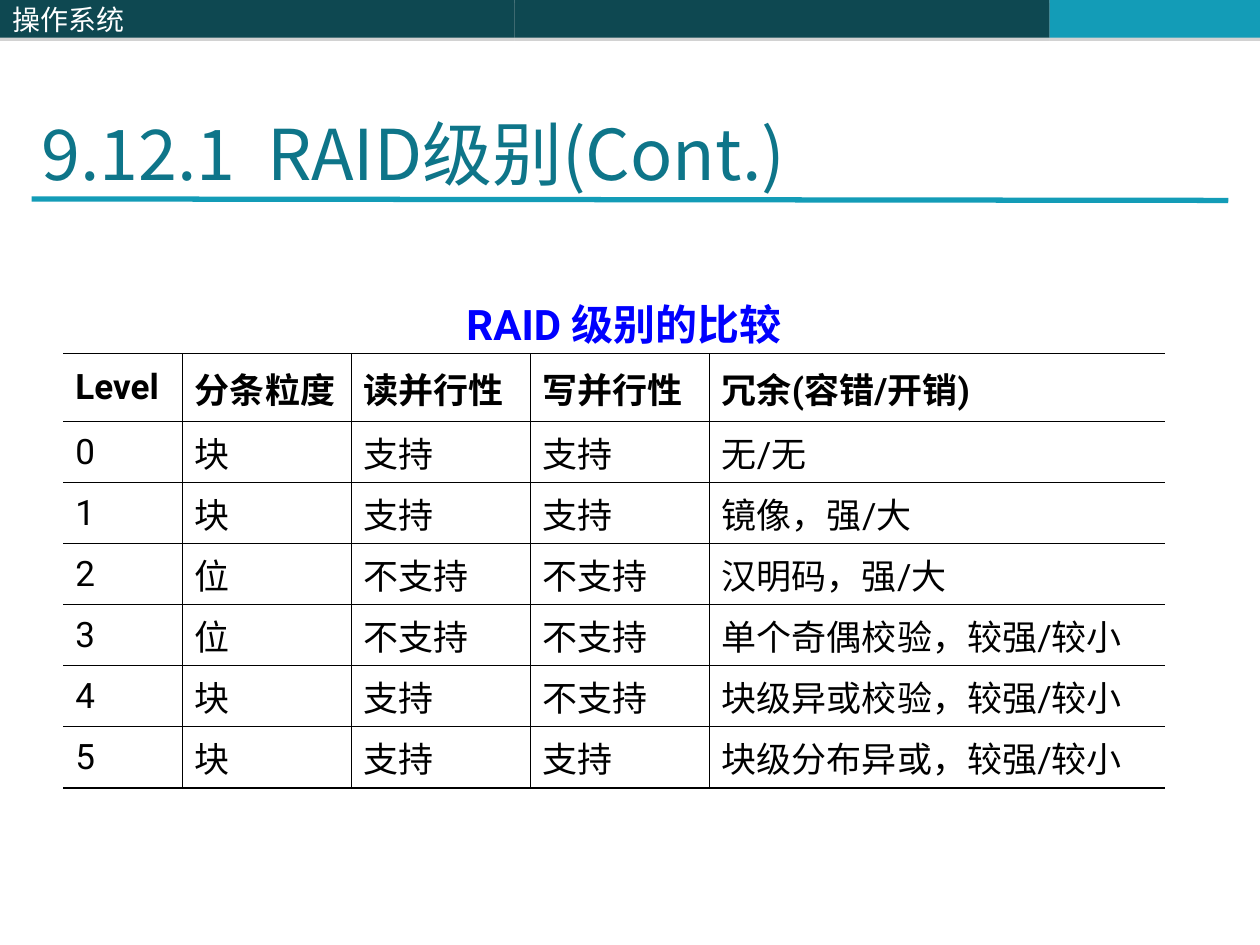
from lxml.etree import SubElement
from pptx import Presentation
from pptx.dml.color import RGBColor
from pptx.enum.shapes import MSO_CONNECTOR, MSO_SHAPE
from pptx.enum.text import MSO_ANCHOR as ANCHOR, PP_ALIGN as ALIGN
from pptx.oxml.ns import qn
from pptx.util import Cm, Pt

CJK, LATIN = "Noto Sans CJK SC", "Roboto"
DARK, TEAL, TITLE = "0E4851", "139CB7", "0E7589"
BLACK, BLUE, WHITE = "000000", "0000FF", "FFFFFF"
THIN, THICK = 0.45, 1.08

CAPTION = "RAID 级别的比较"
HEADERS = ["Level", "分条粒度", "读并行性", "写并行性", "冗余(容错/开销)"]
LEVELS = [
    ["0", "块", "支持", "支持", "无/无"],
    ["1", "块", "支持", "支持", "镜像，强/大"],
    ["2", "位", "不支持", "不支持", "汉明码，强/大"],
    ["3", "位", "不支持", "不支持", "单个奇偶校验，较强/较小"],
    ["4", "块", "支持", "不支持", "块级异或校验，较强/较小"],
    ["5", "块", "支持", "支持", "块级分布异或，较强/较小"],
]
COL_WIDTHS = [2.41, 3.4, 3.61, 3.61, 9.19]
ROW_HEIGHTS = [1.24, 1.37] + [1.23] * len(LEVELS)


def rgb(value):
    """Return the colour for a hex string."""
    return RGBColor.from_string(value)


def write(tf, text, size, color, font=CJK, bold=False, align=ALIGN.LEFT):
    """Write one formatted paragraph into a text frame."""
    p = tf.paragraphs[0]
    p.text = text
    p.alignment = align
    p.font.size, p.font.bold, p.font.name = Pt(size), bold, font
    p.font.color.rgb = rgb(color)
    SubElement(p._p.pPr.find(qn("a:defRPr")), qn("a:ea"), typeface=CJK)


def set_margins(box, x, y):
    """Set equal side margins and equal top and bottom margins."""
    box.margin_left = box.margin_right = Cm(x)
    box.margin_top = box.margin_bottom = Cm(y)


def add_shadow(sp):
    """Give a shape a hard grey shadow straight below it."""
    sp.shadow.inherit = False
    effects = sp._element.spPr.find(qn("a:effectLst"))
    shadow = SubElement(effects, qn("a:outerShdw"), blurRad="0",
                        dist=str(Pt(1.8)), dir="5400000", rotWithShape="0")
    color = SubElement(shadow, qn("a:srgbClr"), val="808080")
    SubElement(color, qn("a:alpha"), val="35000")


def add_header_bar(s, x, y, w, h):
    """Draw the top bar with the course name in its first part."""
    parts = [(0, 10.37, DARK), (10.37, 10.79, DARK), (21.16, w - 21.16, TEAL)]
    bars = []
    for left, width, color in parts:
        sp = s.shapes.add_shape(MSO_SHAPE.RECTANGLE, Cm(x + left), Cm(y), Cm(width), Cm(h))
        sp.fill.solid()
        sp.fill.fore_color.rgb = rgb(color)
        sp.line.fill.background()
        add_shadow(sp)
        bars.append(sp)
    tf = bars[0].text_frame
    tf.vertical_anchor = ANCHOR.MIDDLE
    set_margins(tf, 0.25, 0.13)
    write(tf, "操作系统", 16, WHITE)


def add_title(s, x, y, w, h):
    """Place the slide title above its rule."""
    rule = s.shapes.add_connector(MSO_CONNECTOR.STRAIGHT, Cm(x - 0.2), Cm(y + 2.13),
                                  Cm(x + w), Cm(y + 2.16))
    rule.line.color.rgb = rgb(TEAL)
    rule.line.width = Pt(3)
    SubElement(rule._element.spPr, qn("a:effectLst"))
    tf = s.shapes.add_textbox(Cm(x), Cm(y), Cm(20.32), Cm(h)).text_frame
    tf.word_wrap = True
    tf.vertical_anchor = ANCHOR.BOTTOM
    set_margins(tf, 0, 0)
    write(tf, "9.12.1  RAID级别(Cont.)", 40, TITLE)


def set_borders(cell, **widths):
    """Draw the named cell sides in black and clear the others."""
    tcPr = cell._tc.get_or_add_tcPr()
    for i, side in enumerate(("L", "R", "T", "B")):
        width = widths.get(side, 0)
        ln = tcPr.makeelement(qn(f"a:ln{side}"), {"w": str(Pt(width))})
        if width:
            SubElement(SubElement(ln, qn("a:solidFill")), qn("a:srgbClr"), val=BLACK)
        else:
            SubElement(ln, qn("a:noFill"))
        tcPr.insert(i, ln)


def add_levels_table(s, x, y, w, h):
    """Build the captioned table that compares the levels."""
    rows = [HEADERS] + LEVELS
    n_rows, n_cols = len(rows) + 1, len(HEADERS)
    table = s.shapes.add_table(n_rows, n_cols, Cm(x), Cm(y), Cm(w), Cm(h)).table
    table.first_row = table.horz_banding = False
    for col, width in zip(table.columns, COL_WIDTHS):
        col.width = Cm(width)
    for row, height in zip(table.rows, ROW_HEIGHTS):
        row.height = Cm(height)

    for c in range(n_cols):
        cell = table.cell(0, c)
        cell.fill.background()
        set_borders(cell, B=THIN)
    caption = table.cell(0, 0)
    caption.merge(table.cell(0, n_cols - 1))
    set_margins(caption, 0, 0)
    caption.margin_left = Cm(0.4)
    write(caption.text_frame, CAPTION, 24, BLUE, LATIN, True, ALIGN.CENTER)

    for r, texts in enumerate(rows, 1):
        top = {1: THIN, 2: THICK}.get(r, THIN)
        bottom = THICK if r in (1, n_rows - 1) else THIN
        for c, text in enumerate(texts):
            last = c == n_cols - 1
            cell = table.cell(r, c)
            cell.fill.background()
            cell.vertical_anchor = ANCHOR.TOP if last and r > 1 else ANCHOR.MIDDLE
            set_margins(cell, 0.25, 0.1)
            write(cell.text_frame, text, 20, BLACK, LATIN, r == 1)
            set_borders(cell, T=top, B=bottom, L=THIN if c else 0, R=0 if last else THIN)


def main():
    """Build the slide and save it."""
    prs = Presentation()
    prs.slide_width, prs.slide_height = Cm(25.4), Cm(19.05)
    s = prs.slides.add_slide(prs.slide_layouts[6])
    add_header_bar(s, 0, 0, 25.4, 0.76)
    add_title(s, 0.84, 1.88, 23.92, 2.04)
    add_levels_table(s, 1.27, 5.89, sum(COL_WIDTHS), sum(ROW_HEIGHTS))
    prs.save("out.pptx")


if __name__ == "__main__":
    main()
